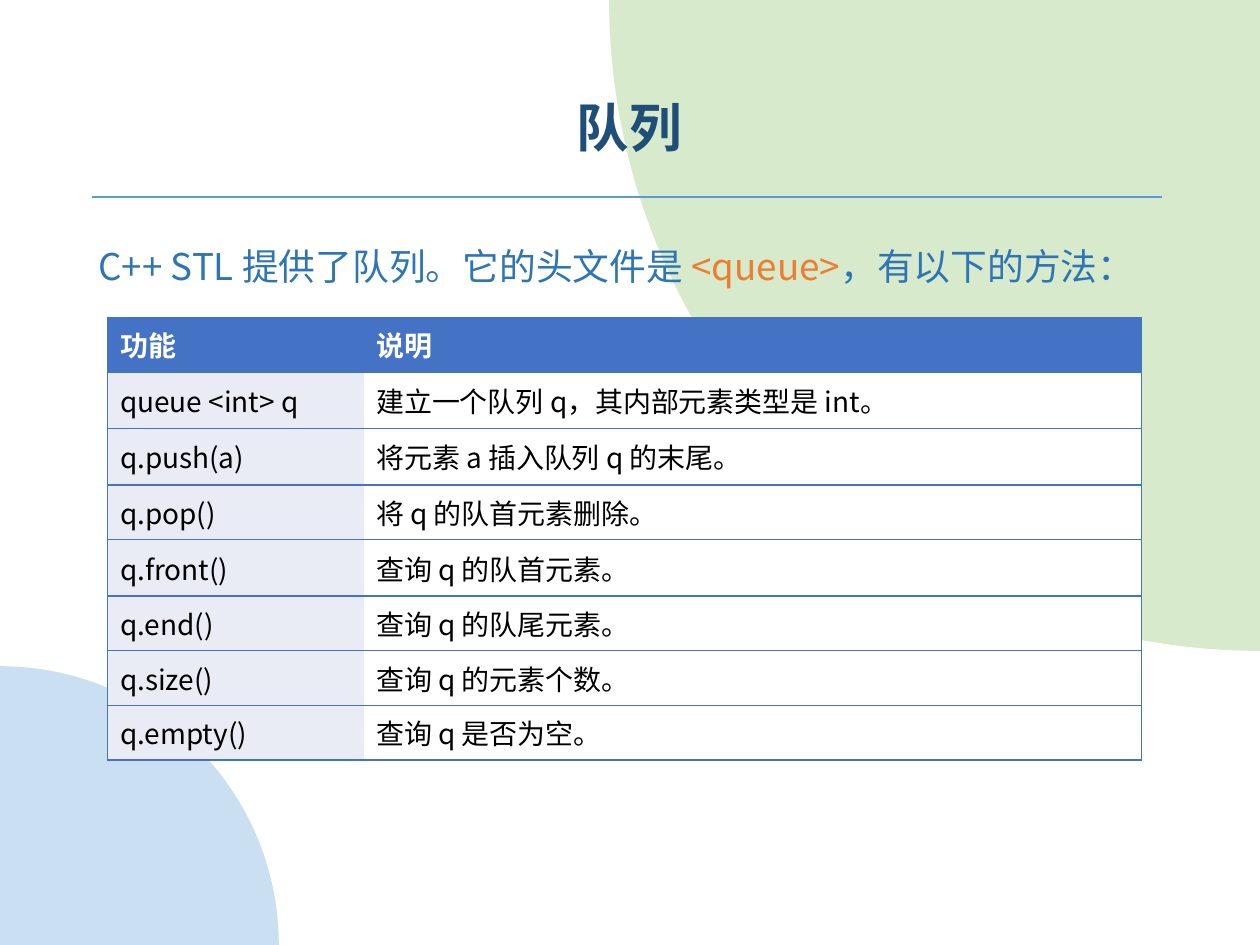
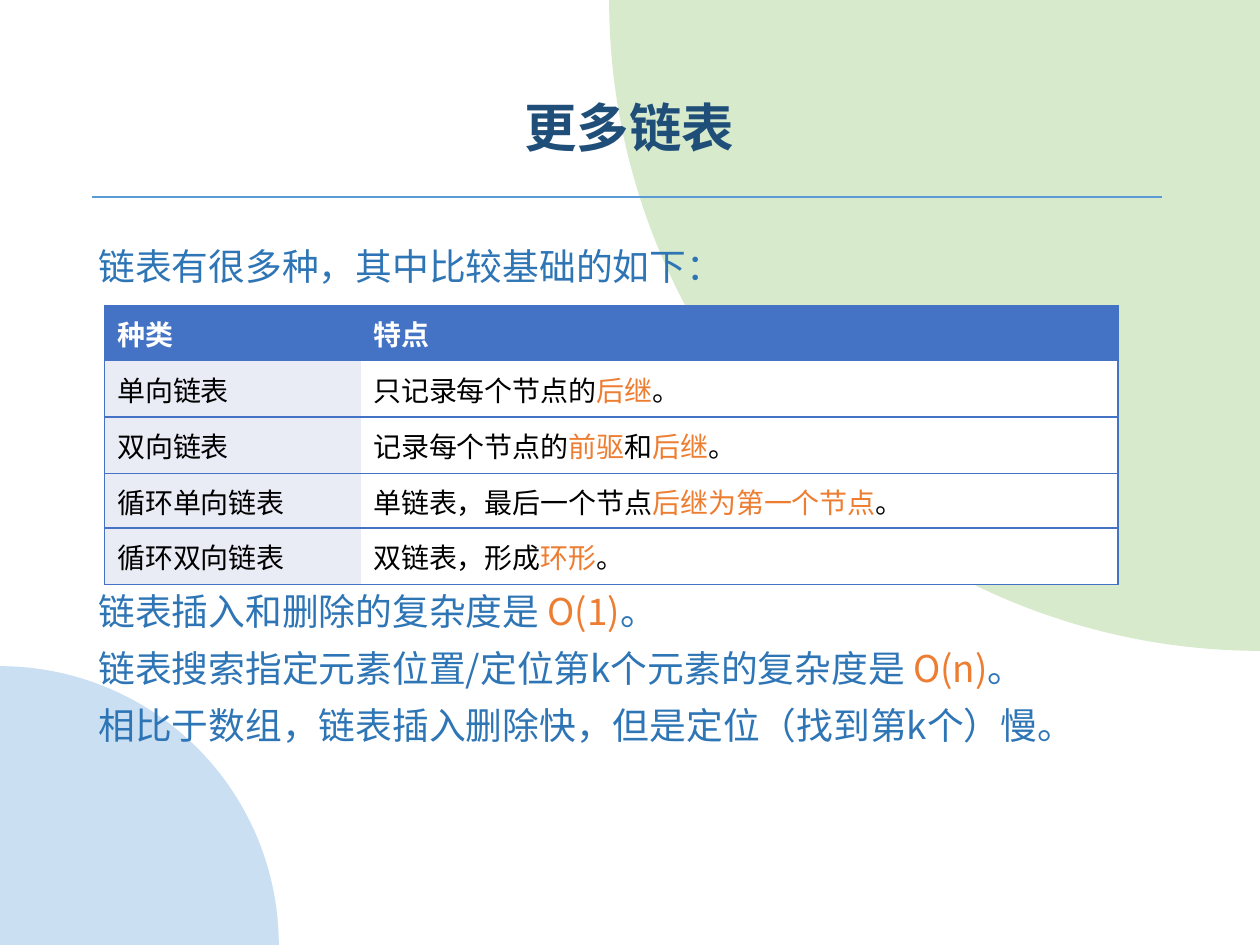
from lxml.etree import SubElement
from pptx import Presentation
from pptx.dml.color import RGBColor
from pptx.enum.shapes import MSO_CONNECTOR, MSO_SHAPE
from pptx.enum.text import MSO_ANCHOR, MSO_AUTO_SIZE, PP_ALIGN
from pptx.oxml.ns import qn
from pptx.util import Cm, Pt

FONT = "Noto Sans CJK SC"
NAVY, BLUE, ORANGE = "1F4E79", "2E75B6", "ED7D31"
GREEN, SKY, RULE = "D8EACC", "CADFF2", "5B9BD5"
HEADER, LABEL, WHITE, BLACK = "4472C4", "E9EBF5", "FFFFFF", "000000"
PARAGRAPH_GAP, TABLE_GAP = 7.5, 172
SHORT, TALL = 1.1, 1.14

QUEUE_ROWS = [
    ("功能", "说明"),
    ("queue <int> q", "建立一个队列 q，其内部元素类型是 int。"),
    ("q.push(a)", "将元素 a 插入队列 q 的末尾。"),
    ("q.pop()", "将 q 的队首元素删除。"),
    ("q.front()", "查询 q 的队首元素。"),
    ("q.end()", "查询 q 的队尾元素。"),
    ("q.size()", "查询 q 的元素个数。"),
    ("q.empty()", "查询 q 是否为空。"),
]
LIST_ROWS = [
    ("种类", "特点"),
    ("单向链表", "只记录每个节点的|后继|。"),
    ("双向链表", "记录每个节点的|前驱|和|后继|。"),
    ("循环单向链表", "单链表，最后一个节点|后继为第一个节点|。"),
    ("循环双向链表", "双链表，形成|环形|。"),
]


def rgb(color):
    return RGBColor.from_string(color)


def write(para, text, size, color, bold=False):
    for index, part in enumerate(text.split("|")):
        span = para.add_run()
        span.text = part
        span.font.size = Pt(size)
        span.font.bold = bold
        span.font.color.rgb = rgb(ORANGE if index % 2 else color)
        span.font.name = FONT
        SubElement(span.font._element, qn("a:ea"), typeface=FONT)


def place(shape, left, top, width, height):
    shape.left, shape.top = Cm(left), Cm(top)
    shape.width, shape.height = Cm(width), Cm(height)


def add_quarter(page, center_x, center_y, radius, rotation, color):
    quarter = page.shapes.add_shape(
        MSO_SHAPE.PIE, Cm(center_x - radius), Cm(center_y - radius),
        Cm(2 * radius), Cm(2 * radius))
    quarter.adjustments[0] = 108
    quarter.adjustments[1] = 162
    quarter.rotation = rotation
    quarter.shadow.inherit = False
    quarter.fill.solid()
    quarter.fill.fore_color.rgb = rgb(color)
    quarter.line.fill.background()
    return quarter


def add_rule(page, left, right, top):
    rule = page.shapes.add_connector(
        MSO_CONNECTOR.STRAIGHT, Cm(left), Cm(top), Cm(right), Cm(top))
    rule.line.color.rgb = rgb(RULE)
    rule.line.width = Pt(1)
    SubElement(rule._element.spPr, qn("a:effectLst"))
    return rule


def decorate_layout(layout, page):
    decorations = [
        add_quarter(page, 25.4, 0, 13.12, 270, GREEN),
        add_quarter(page, 0, 19.05, 5.62, 90, SKY),
        add_rule(page, 1.85, 23.43, 3.97),
    ]
    for shape in decorations:
        layout.shapes._spTree.append(shape._element)


def fill_title(page, text):
    title = page.shapes.title
    place(title, 1.73, 1.31, 21.92, 2.03)
    frame = title.text_frame
    frame.auto_size = MSO_AUTO_SIZE.NONE
    frame.vertical_anchor = MSO_ANCHOR.BOTTOM
    para = frame.paragraphs[0]
    para.alignment = PP_ALIGN.CENTER
    para.line_spacing = 0.9
    write(para, text, 30, NAVY, bold=True)


def fill_body(page, lines):
    body = page.placeholders[1]
    place(body, 1.73, 4.78, 21.92, 12.42)
    frame = body.text_frame
    frame.auto_size = MSO_AUTO_SIZE.NONE
    for index, (text, space_before) in enumerate(lines):
        para = frame.add_paragraph() if index else frame.paragraphs[0]
        properties = para._p.get_or_add_pPr()
        properties.set("marL", "0")
        properties.set("indent", "0")
        SubElement(properties, qn("a:buNone"))
        para.line_spacing = 1.0
        para.space_before = Pt(space_before)
        write(para, text, 21, BLUE)


def add_borders(cell, open_side):
    properties = cell._tc.get_or_add_tcPr()
    for side in ("lnL", "lnR", "lnT", "lnB"):
        border = SubElement(properties, qn(f"a:{side}"), w=str(Pt(1)))
        if side == open_side:
            SubElement(border, qn("a:noFill"))
        else:
            fill = SubElement(border, qn("a:solidFill"))
            SubElement(fill, qn("a:srgbClr"), val=HEADER)


def add_grid(page, rows, left, top, widths, heights):
    frame = page.shapes.add_table(
        len(rows), len(widths), Cm(left), Cm(top),
        Cm(sum(widths)), Cm(sum(heights)))
    table = frame.table
    for column, width in zip(table.columns, widths):
        column.width = Cm(width)
    for row_index, (texts, height) in enumerate(zip(rows, heights)):
        table.rows[row_index].height = Cm(height)
        is_header = row_index == 0
        for column_index, text in enumerate(texts):
            cell = table.cell(row_index, column_index)
            cell.vertical_anchor = MSO_ANCHOR.MIDDLE
            add_borders(cell, "lnL" if column_index else "lnR")
            cell.fill.solid()
            plain = WHITE if column_index else LABEL
            cell.fill.fore_color.rgb = rgb(HEADER if is_header else plain)
            write(cell.text_frame.paragraphs[0], text, 16,
                  WHITE if is_header else BLACK, bold=is_header)


def main():
    deck = Presentation()
    deck.slide_width, deck.slide_height = Cm(25.4), Cm(19.05)
    layout = deck.slide_layouts[1]

    queue_page = deck.slides.add_slide(layout)
    decorate_layout(layout, queue_page)
    fill_title(queue_page, "队列")
    fill_body(queue_page, [
        ("C++ STL 提供了队列。它的头文件是 |<queue>|，有以下的方法：", 0)])
    add_grid(queue_page, QUEUE_ROWS, 2.17, 6.4, (5.16, 15.68),
             (SHORT, TALL, TALL, SHORT, TALL, SHORT, SHORT, SHORT))

    list_page = deck.slides.add_slide(layout)
    fill_title(list_page, "更多链表")
    fill_body(list_page, [
        ("链表有很多种，其中比较基础的如下：", 0),
        ("链表插入和删除的复杂度是 |O(1)|。", TABLE_GAP),
        ("链表搜索指定元素位置/定位第k个元素的复杂度是 |O(n)|。", PARAGRAPH_GAP),
        ("相比于数组，链表插入删除快，但是定位（找到第k个）慢。", PARAGRAPH_GAP)])
    add_grid(list_page, LIST_ROWS, 2.11, 6.17, (5.16, 15.27),
             (SHORT, TALL, TALL, SHORT, TALL))

    deck.save("out.pptx")


if __name__ == "__main__":
    main()
